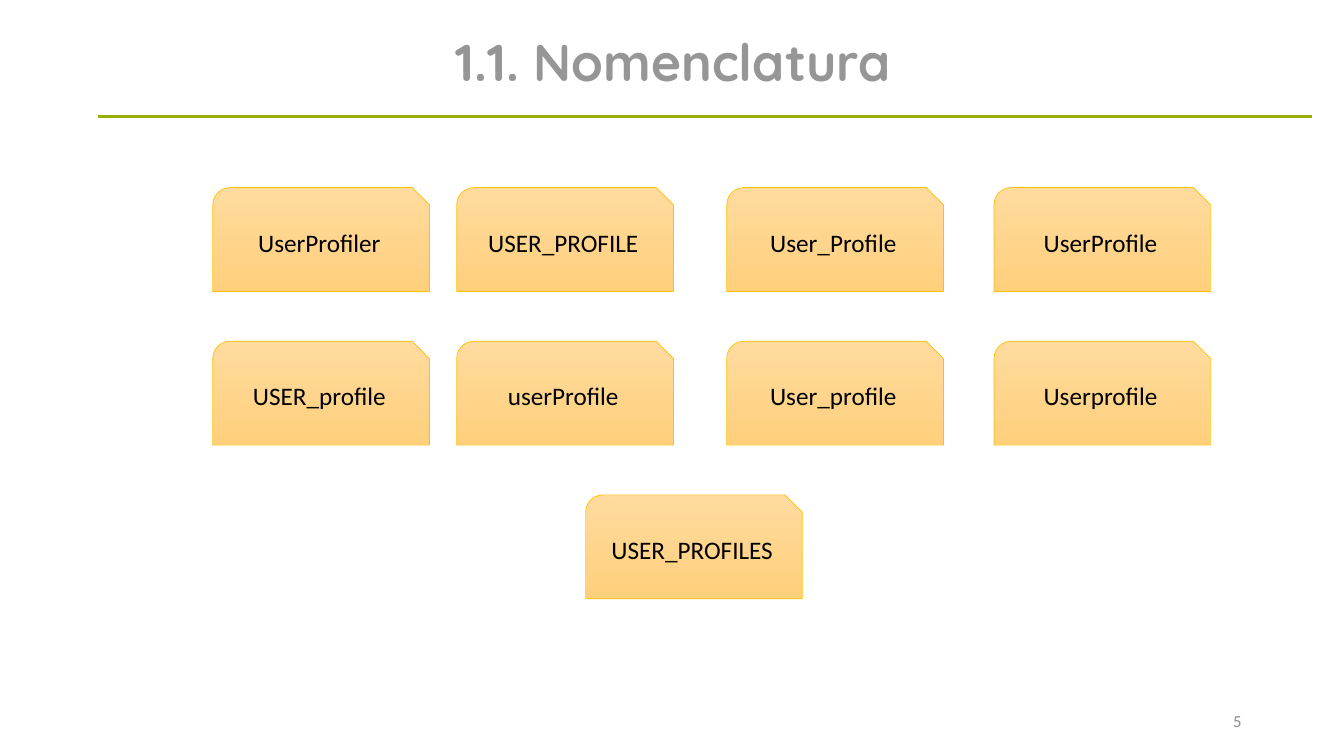
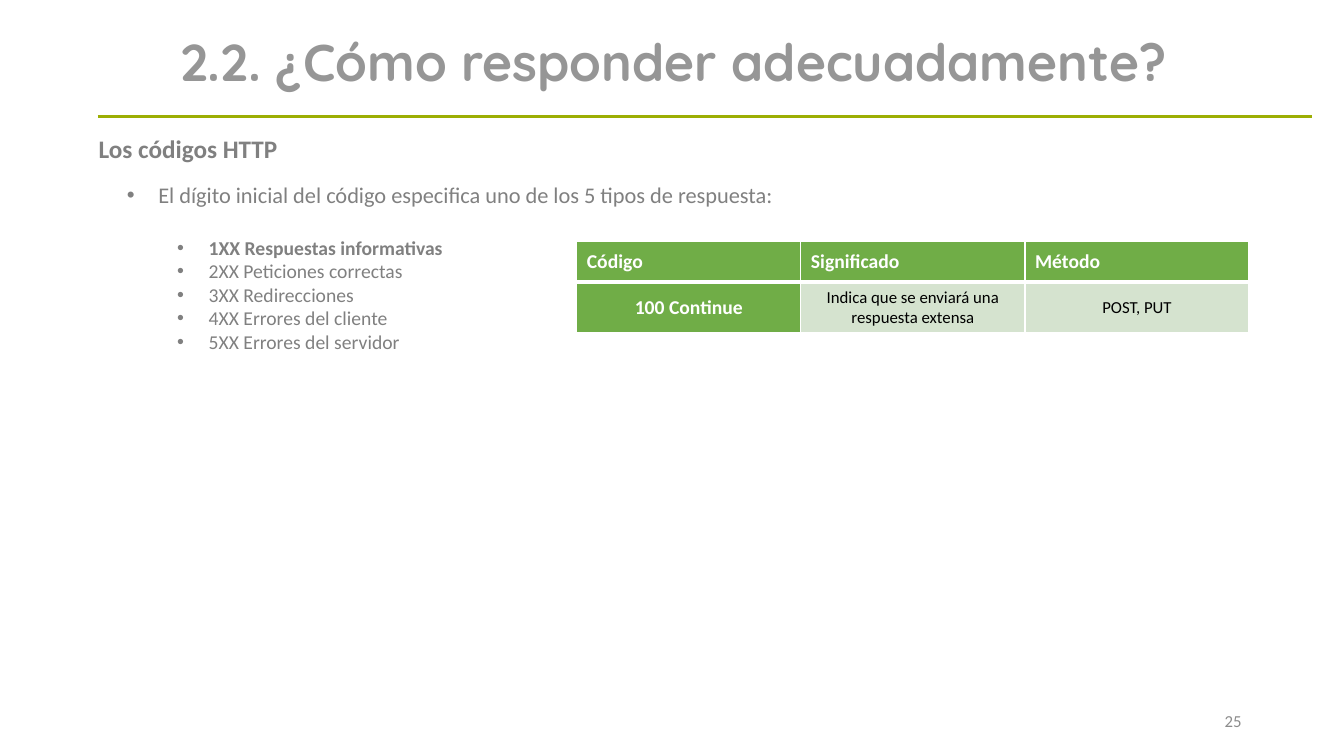
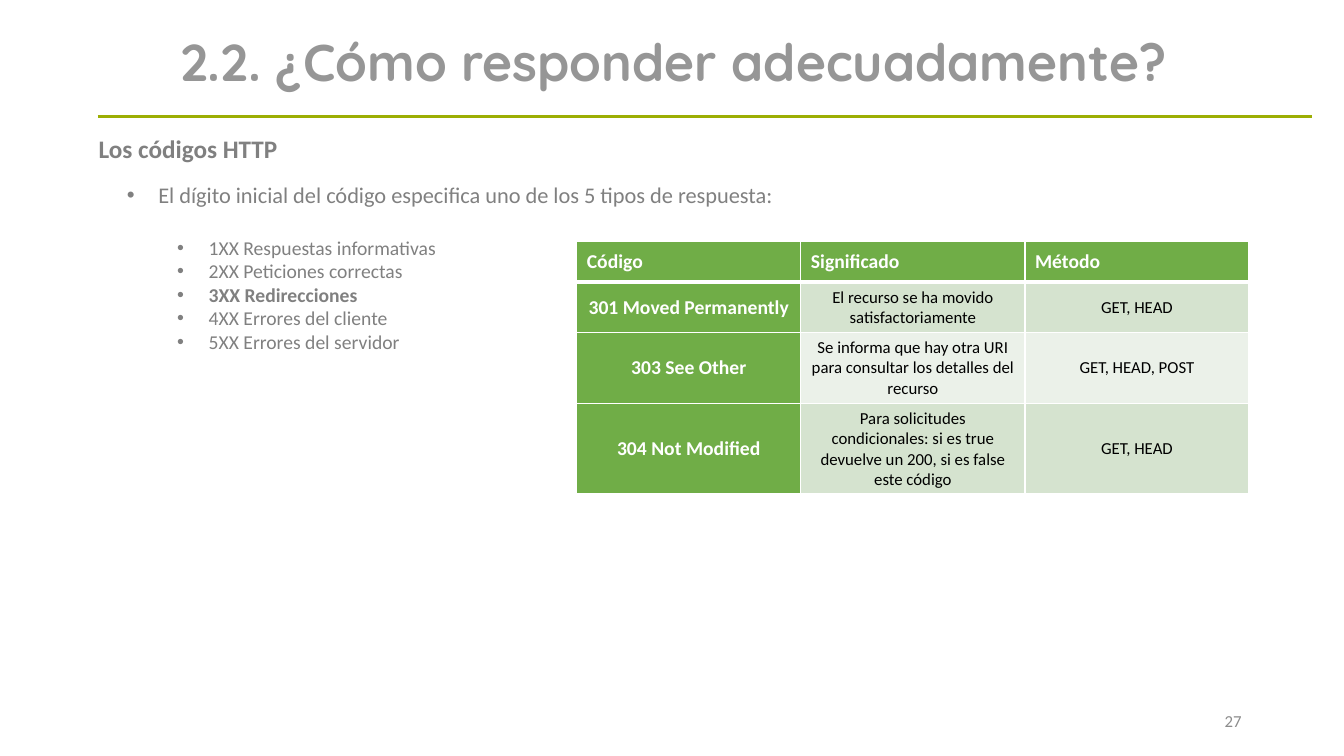
"""Build three slides on naming styles and HTTP response codes."""
import dataclasses
import typing

import lxml.etree
import pptx
import pptx.dml.color
import pptx.enum.shapes
import pptx.enum.text
import pptx.oxml.ns
import pptx.presentation
import pptx.slide
import pptx.table
import pptx.text.text
import pptx.util

Pt = pptx.util.Pt
qn = pptx.oxml.ns.qn
Align = pptx.enum.text.PP_ALIGN
Anchor = pptx.enum.text.MSO_ANCHOR
Shape = pptx.enum.shapes.MSO_SHAPE
Frame = pptx.text.text.TextFrame
Slide = pptx.slide.Slide

HEX = {
    "title": "969696", "rule": "9CAE04", "body": "808080", "page": "8C8C8C",
    "black": "000000", "white": "FFFFFF", "edge": "FFC000",
    "light": "FFDB9E", "dark": "FFD07C",
    "head": "70AD47", "odd": "D5E3CF", "even": "EBF1E9",
}
CARD_W, CARD_H = 154.8, 74.2
CARD_TOP, CARD_STEP = 134, 109.75
COLS = (152, 326.2, 519.1, 710)
ROW_H, COL_W = 29.2, 160.08
KINDS = (
    "1XX Respuestas informativas",
    "2XX Peticiones correctas",
    "3XX Redirecciones",
    "4XX Errores del cliente",
    "5XX Errores del servidor",
)
HEADS = ("Código", "Significado", "Método")


@dataclasses.dataclass(frozen=True)
class Card:
    text: str
    left: float
    row: int


@dataclasses.dataclass(frozen=True)
class Code:
    name: str
    sense: str
    verbs: str


@dataclasses.dataclass(frozen=True)
class Topic:
    page: int
    bold: int
    codes: tuple[Code, ...]


NAMES = (
    ("UserProfiler", "USER_PROFILE", "User_Profile", "UserProfile"),
    ("USER_profile", "userProfile", "User_profile", "Userprofile"),
)
CARDS = [
    Card(text, left, row)
    for row, names in enumerate(NAMES)
    for text, left in zip(names, COLS)
] + [Card("USER_PROFILES", 418.3, 2)]
TOPICS = (
    Topic(25, 0, (
        Code("100 Continue", "Indica que se enviará una respuesta extensa", "POST, PUT"),
    )),
    Topic(27, 2, (
        Code("301 Moved Permanently", "El recurso se ha movido satisfactoriamente",
             "GET, HEAD"),
        Code("303 See Other",
             "Se informa que hay otra URI para consultar los detalles del recurso",
             "GET, HEAD, POST"),
        Code("304 Not Modified",
             "Para solicitudes condicionales: si es true devuelve un 200, "
             "si es false este código",
             "GET, HEAD"),
    )),
)


def rgb(name: str) -> pptx.dml.color.RGBColor:
    """Return the named colour."""
    return pptx.dml.color.RGBColor.from_string(HEX[name])


def write(
    frame: Frame, text: str, *, size: float, color: str, font: str = "Calibri",
    bold: bool = False, align: Align = Align.LEFT, line: float = 1,
    before: float = 0, left: typing.Optional[float] = None, level: int = 0,
    more: bool = False,
) -> None:
    """Write one paragraph, bulleted when a left indent is given."""
    para = frame.add_paragraph() if more else frame.paragraphs[0]
    para.alignment = align
    para.line_spacing = line
    para.level = level
    if before:
        para.space_before = Pt(before)
    if left is not None:
        props = para._p.get_or_add_pPr()
        props.set("marL", str(Pt(left)))
        props.set("indent", str(Pt(-22.5)))
        lxml.etree.SubElement(props, qn("a:buFont"), typeface="Arial")
        lxml.etree.SubElement(props, qn("a:buChar"), char="•")
    run = para.add_run()
    run.text = text
    run.font.size = Pt(size)
    run.font.name = font
    run.font.bold = bold
    run.font.color.rgb = rgb(color)


def box(
    slide: Slide, left: float, top: float, width: float, height: float,
    anchor: Anchor = Anchor.MIDDLE,
) -> Frame:
    """Add a wrapping text box and return its frame."""
    frame = slide.shapes.add_textbox(
        Pt(left), Pt(top), Pt(width), Pt(height)).text_frame
    frame.word_wrap = True
    frame.vertical_anchor = anchor
    return frame


def start(deck: pptx.presentation.Presentation, title: str, page: int) -> Slide:
    """Add a slide with its title, rule and page number."""
    slide = deck.slides.add_slide(deck.slide_layouts[6])
    rule = slide.shapes.add_connector(
        pptx.enum.shapes.MSO_CONNECTOR.STRAIGHT,
        Pt(70), Pt(83.2), Pt(937.2), Pt(83.2))
    rule.line.color.rgb = rgb("rule")
    rule.line.width = Pt(2.25)
    lxml.etree.SubElement(rule._element.spPr, qn("a:effectLst"))
    write(box(slide, 70, 15.8, 822, 60.5), title, size=37, color="title",
          font="Quicksand", bold=True, align=Align.CENTER, line=0.9)
    write(box(slide, 678, 500.5, 216, 28.8), str(page), size=12,
          color="page", align=Align.RIGHT)
    return slide


def draw(slide: Slide, card: Card) -> None:
    """Draw one name card."""
    shape = slide.shapes.add_shape(
        Shape.SNIP_ROUND_RECTANGLE, Pt(card.left),
        Pt(CARD_TOP + card.row * CARD_STEP), Pt(CARD_W), Pt(CARD_H))
    shape.shadow.inherit = False
    shape.fill.gradient()
    shape.fill.gradient_angle = 270
    for stop, name in zip(shape.fill.gradient_stops, ("light", "dark")):
        stop.color.rgb = rgb(name)
    shape.line.color.rgb = rgb("edge")
    shape.line.width = Pt(0.5)
    shape.text_frame.vertical_anchor = Anchor.MIDDLE
    write(shape.text_frame, card.text, size=18, color="black",
          align=Align.CENTER)


def listing(slide: Slide, bold: int) -> None:
    """Write the heading and the list of response kinds."""
    write(box(slide, 63.4, 80.6, 867.6, 36.7, Anchor.TOP), "Los códigos HTTP",
          size=18, color="body", bold=True, align=Align.JUSTIFY, line=1.5)
    shape = slide.shapes.add_shape(
        Shape.RECTANGLE, Pt(83.5), Pt(126), Pt(801.4), Pt(152.6))
    shape.shadow.inherit = False
    shape.fill.solid()
    shape.fill.fore_color.rgb = rgb("white")
    shape.line.fill.background()
    frame = shape.text_frame
    frame.vertical_anchor = Anchor.TOP
    write(frame,
          "El dígito inicial del código especifica uno de los 5 tipos de respuesta:",
          size=16, color="body", left=22.5)
    for spot, kind in enumerate(KINDS):
        write(frame, kind, size=14, color="body", bold=spot == bold,
              before=0 if spot else 19.5, left=58.5, level=1, more=True)


def fill(cell: pptx.table._Cell, color: str, top: float, base: float) -> None:
    """Give a cell white borders and a plain fill."""
    props = cell._tc.get_or_add_tcPr()
    for side, width in (("L", 1), ("R", 1), ("T", top), ("B", base)):
        edge = lxml.etree.SubElement(props, qn(f"a:ln{side}"), w=str(Pt(width)))
        solid = lxml.etree.SubElement(edge, qn("a:solidFill"))
        lxml.etree.SubElement(solid, qn("a:srgbClr"), val=HEX["white"])
    cell.fill.solid()
    cell.fill.fore_color.rgb = rgb(color)
    cell.vertical_anchor = Anchor.MIDDLE


def grid(slide: Slide, codes: tuple[Code, ...]) -> None:
    """Add the table of response codes."""
    rows = [HEADS, *map(dataclasses.astuple, codes)]
    table = slide.shapes.add_table(
        len(rows), len(HEADS), Pt(412), Pt(172.3),
        Pt(COL_W * len(HEADS)), Pt(ROW_H * len(rows))).table
    for col in table.columns:
        col.width = Pt(COL_W)
    for y, row in enumerate(rows):
        table.rows[y].height = Pt(ROW_H)
        for x, text in enumerate(row):
            head = y == 0 or x == 0
            cell = table.cell(y, x)
            fill(cell, "head" if head else "odd" if y % 2 else "even",
                 3 if y == 1 else 1, 1 if y else 3)
            write(cell.text_frame, text, size=14 if head else 12,
                  color="white" if head else "black", bold=head,
                  align=Align.CENTER if y else Align.LEFT)


def main() -> None:
    """Build and save the slides."""
    deck = pptx.Presentation()
    deck.slide_width, deck.slide_height = Pt(960), Pt(540)
    slide = start(deck, "1.1. Nomenclatura", 5)
    for card in CARDS:
        draw(slide, card)
    for topic in TOPICS:
        slide = start(deck, "2.2. ¿Cómo responder adecuadamente?", topic.page)
        listing(slide, topic.bold)
        grid(slide, topic.codes)
    deck.save("out.pptx")


if __name__ == "__main__":
    main()
